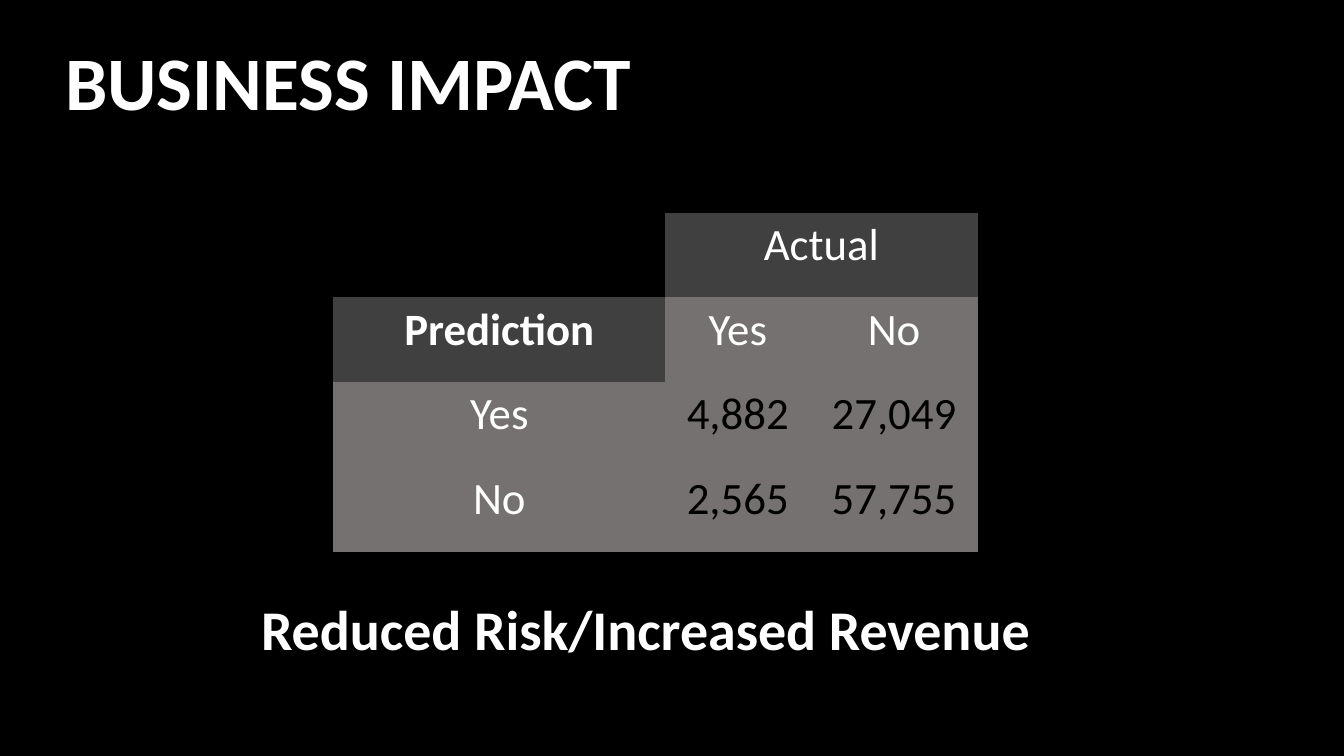
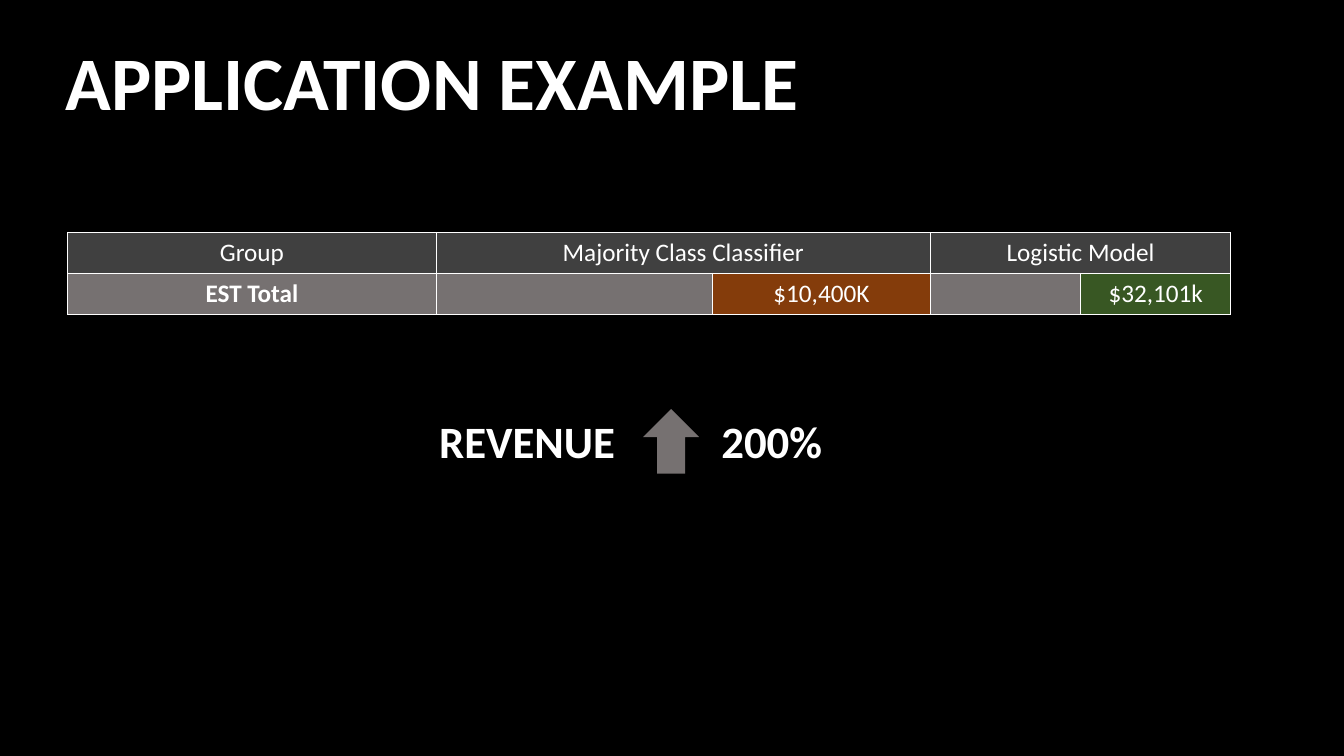
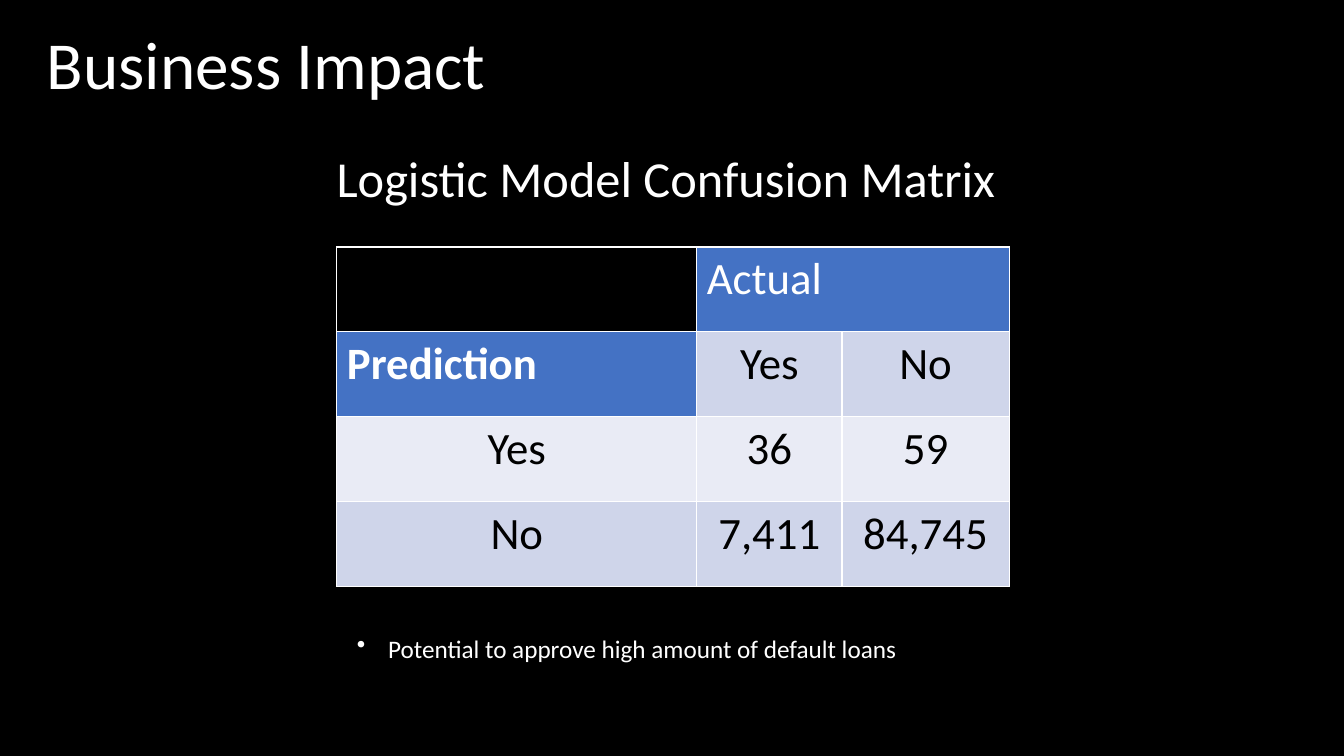
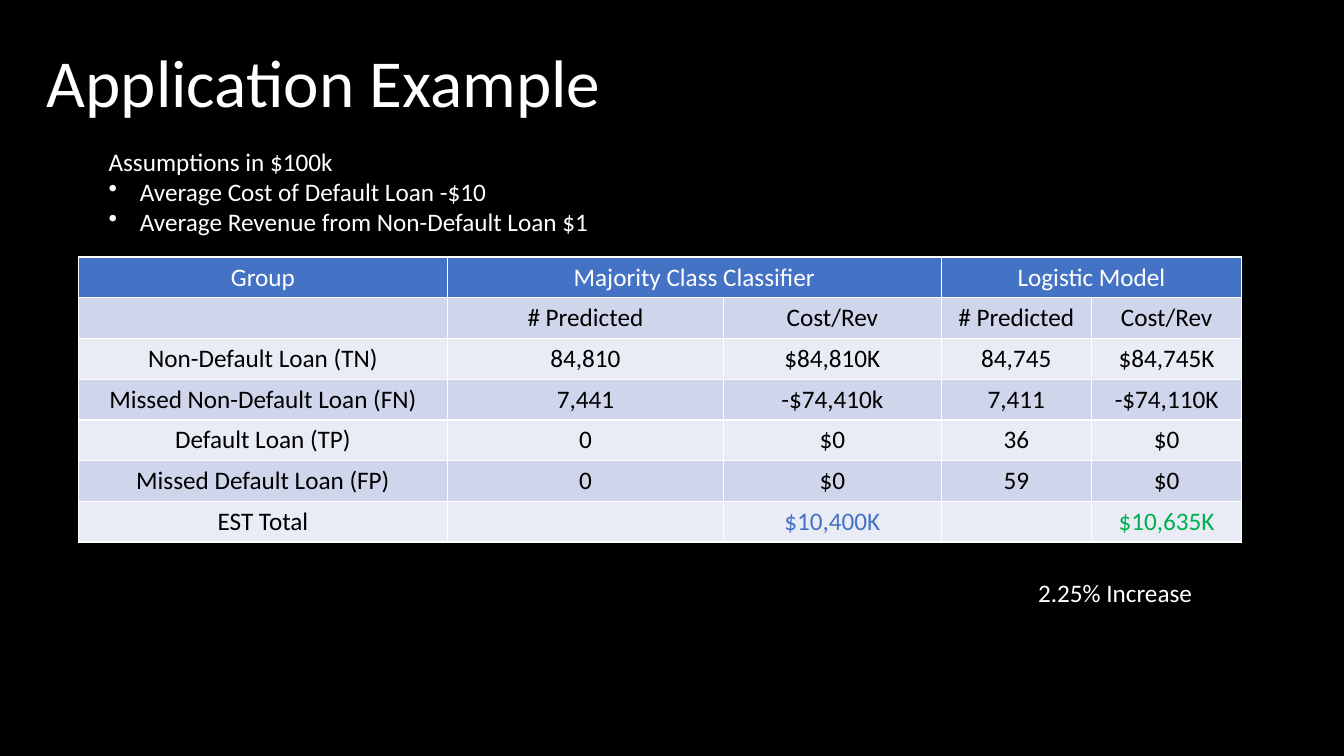
from dataclasses import dataclass

from lxml import etree
from pptx import Presentation
from pptx.dml.color import RGBColor
from pptx.enum.shapes import MSO_SHAPE
from pptx.enum.text import MSO_ANCHOR, PP_ALIGN
from pptx.oxml.ns import qn
from pptx.util import Emu, Inches, Pt

# The slide is a grid of 32 columns by 18 rows of square units.
COLUMNS, ROWS = 32, 18
UNIT = Inches(7.5) / ROWS

FONT = "Calibri"
COLORS = {
    "black": "000000",
    "white": "FFFFFF",
    "charcoal": "404040",
    "gray": "767171",
    "rust": "843C0B",
    "forest": "385723",
    "blue": "4472C4",
    "green": "00B050",
    "band_dark": "CFD5EA",
    "band_light": "E9EBF5",
}

LEFT, CENTER = PP_ALIGN.LEFT, PP_ALIGN.CENTER
TOP, MIDDLE, BOTTOM = MSO_ANCHOR.TOP, MSO_ANCHOR.MIDDLE, MSO_ANCHOR.BOTTOM
UP_ARROW = MSO_SHAPE.UP_ARROW

MATRIX_VALUE_COLS = [3.46, 3.98]
MATRIX_ROW = 2.02
REVENUE_COLS = [8.78, 6.58, 5.18, 3.58, 3.58]
REVENUE_ROW = 0.97
REVENUE_HEADINGS = ["Group", "Majority Class Classifier", None, "Logistic Model", None]


@dataclass(frozen=True)
class CellStyle:
    fill: str
    color: str = "white"
    bold: bool = False
    align: PP_ALIGN = CENTER


CORNER = CellStyle("black")
CHARCOAL = CellStyle("charcoal")
CHARCOAL_BOLD = CellStyle("charcoal", bold=True)
GRAY = CellStyle("gray")
GRAY_BOLD = CellStyle("gray", bold=True)
GRAY_VALUE = CellStyle("gray", "black")
BLUE = CellStyle("blue")
BLUE_LEFT = CellStyle("blue", align=LEFT)
BLUE_LEFT_BOLD = CellStyle("blue", bold=True, align=LEFT)
DARK = CellStyle("band_dark", "black")
LIGHT = CellStyle("band_light", "black")


def rgb(name):
    return RGBColor.from_string(COLORS[name])


def units(*lengths):
    return [Emu(round(length * UNIT)) for length in lengths]


def set_paragraph(paragraph, text, size, color="white", bold=False, align=LEFT):
    paragraph.text = text
    paragraph.alignment = align
    font = paragraph.font
    font.name, font.size, font.bold = FONT, Pt(size), bold
    font.color.rgb = rgb(color)


def add_bullet(paragraph):
    properties = paragraph._p.get_or_add_pPr()
    indent = Inches(0.31)
    properties.set("marL", str(indent))
    properties.set("indent", str(-indent))
    bullet = etree.Element(qn("a:buChar"), char="•")
    properties.insert_element_before(bullet, "a:tabLst", "a:defRPr", "a:extLst")


def add_text(slide, box, lines, size, bold=False, align=LEFT, anchor=TOP):
    """Add a text box; a line that starts with a bullet becomes a list item."""
    frame = slide.shapes.add_textbox(*units(*box)).text_frame
    frame.word_wrap = True
    frame.vertical_anchor = anchor
    for index, line in enumerate(lines):
        paragraph = frame.add_paragraph() if index else frame.paragraphs[0]
        set_paragraph(paragraph, line.removeprefix("• "), size, bold=bold, align=align)
        if line.startswith("• "):
            add_bullet(paragraph)
    return frame


def add_title(slide, text, box, size, bold, anchor):
    frame = add_text(slide, box, [text], size, bold, anchor=anchor)
    frame.paragraphs[0].line_spacing = 0.9


def add_headline(slide, text):
    add_title(slide, text, (1.32, 0.91, 24, 2.3), 54, True, MIDDLE)


def add_plain_title(slide, text, top):
    add_title(slide, text, (0.88, top, 24.48, 2.26), 48, False, BOTTOM)


def set_borders(cell, bordered):
    properties = cell._tc.get_or_add_tcPr()
    for side in ("lnL", "lnR", "lnT", "lnB"):
        line = etree.SubElement(properties, qn(f"a:{side}"), w=str(Pt(1)))
        if bordered:
            fill = etree.SubElement(line, qn("a:solidFill"))
            etree.SubElement(fill, qn("a:srgbClr"), val=COLORS["white"])
        else:
            etree.SubElement(line, qn("a:noFill"))


def add_grid(slide, left, top, widths, row_height, rows, size, bordered=True):
    """Add a table from (texts, styles) rows; None joins a cell to its left neighbour."""
    box = units(left, top, sum(widths), row_height * len(rows))
    table = slide.shapes.add_table(len(rows), len(widths), *box).table
    table.first_row = table.horz_banding = False
    for column, width in zip(table.columns, units(*widths)):
        column.width = width
    for row_index, (texts, styles) in enumerate(rows):
        if isinstance(styles, CellStyle):
            styles = [styles] * len(texts)
        for column_index, (text, style) in enumerate(zip(texts, styles)):
            cell = table.cell(row_index, column_index)
            set_borders(cell, bordered)
            cell.fill.solid()
            cell.fill.fore_color.rgb = rgb(style.fill)
            if text is None:
                table.cell(row_index, column_index - 1).merge(cell)
            else:
                set_paragraph(cell.text_frame.paragraphs[0], text, size,
                              style.color, style.bold, style.align)


def add_arrow(slide, box):
    arrow = slide.shapes.add_shape(UP_ARROW, *units(*box))
    arrow.shadow.inherit = False
    arrow.fill.solid()
    arrow.fill.fore_color.rgb = rgb("gray")
    arrow.line.fill.background()


def build_impact(slide):
    add_headline(slide, "BUSINESS IMPACT")
    add_grid(slide, 7.94, 5.06, [7.9, *MATRIX_VALUE_COLS], MATRIX_ROW, [
        (["", "Actual", None], [CORNER, CHARCOAL, CHARCOAL]),
        (["Prediction", "Yes", "No"], [CHARCOAL_BOLD, GRAY, GRAY]),
        (["Yes", "4,882", "27,049"], [GRAY, GRAY_VALUE, GRAY_VALUE]),
        (["No", "2,565", "57,755"], [GRAY, GRAY_VALUE, GRAY_VALUE]),
    ], 32, bordered=False)
    add_text(slide, (5.98, 14.04, 20.06, 1.85), ["Reduced Risk/Increased Revenue"], 40, True)


def build_application(slide):
    add_headline(slide, "APPLICATION EXAMPLE")
    add_grid(slide, 1.61, 5.54, REVENUE_COLS, REVENUE_ROW, [
        (REVENUE_HEADINGS, CHARCOAL),
        (["EST Total", "", "$10,400K", "", "$32,101k"],
         [GRAY_BOLD, GRAY, CellStyle("rust"), GRAY, CellStyle("forest")]),
    ], 18)
    top, height = 9.74, 1.54
    for left, text in ((10.22, "REVENUE"), (16.94, "200%")):
        add_text(slide, (left, top, 5.11, height), [text], 32, True)
    add_arrow(slide, (15.31, top, 1.34, height))


def build_logistic_impact(slide):
    add_plain_title(slide, "Business Impact", 0.34)
    add_text(slide, (6.38, 3.38, 18.96, 1.7), ["Logistic Model Confusion Matrix"], 36, align=CENTER)
    add_grid(slide, 8.02, 5.88, [8.57, *MATRIX_VALUE_COLS], MATRIX_ROW, [
        (["", "Actual", None], [CORNER, BLUE_LEFT, BLUE_LEFT]),
        (["Prediction", "Yes", "No"], [BLUE_LEFT_BOLD, DARK, DARK]),
        (["Yes", "36", "59"], LIGHT),
        (["No", "7,411", "84,745"], DARK),
    ], 32)
    add_text(slide, (8.26, 14.95, 15.48, 0.96),
             ["• Potential to approve high amount of default loans"], 18)


def build_logistic_application(slide):
    add_plain_title(slide, "Application Example", 0.77)
    add_text(slide, (2.35, 3.36, 13.37, 2.42), [
        "Assumptions in $100k",
        "• Average Cost of Default Loan -$10",
        "• Average Revenue from Non-Default Loan $1",
    ], 18)
    majority_total = CellStyle("band_light", "blue")
    logistic_total = CellStyle("band_light", "green")
    add_grid(slide, 1.87, 6.12, REVENUE_COLS, REVENUE_ROW, [
        (REVENUE_HEADINGS, BLUE),
        (["", "# Predicted", "Cost/Rev", "# Predicted", "Cost/Rev"], DARK),
        (["Non-Default Loan (TN)", "84,810", "$84,810K", "84,745", "$84,745K"], LIGHT),
        (["Missed Non-Default Loan (FN)", "7,441", "-$74,410k", "7,411", "-$74,110K"], DARK),
        (["Default Loan (TP)", "0", "$0", "36", "$0"], LIGHT),
        (["Missed Default Loan (FP)", "0", "$0", "59", "$0"], DARK),
        (["EST Total", "", "$10,400K", "", "$10,635K"],
         [LIGHT, LIGHT, majority_total, LIGHT, logistic_total]),
    ], 18)
    add_text(slide, (24.48, 13.63, 5.11, 0.96), ["2.25% Increase"], 18)


def main():
    prs = Presentation()
    prs.slide_width, prs.slide_height = units(COLUMNS, ROWS)
    background = prs.slide_master.background.fill
    background.solid()
    background.fore_color.rgb = rgb("black")
    blank = prs.slide_layouts[6]
    for build in (build_impact, build_application,
                  build_logistic_impact, build_logistic_application):
        build(prs.slides.add_slide(blank))
    prs.save("out.pptx")


if __name__ == "__main__":
    main()
